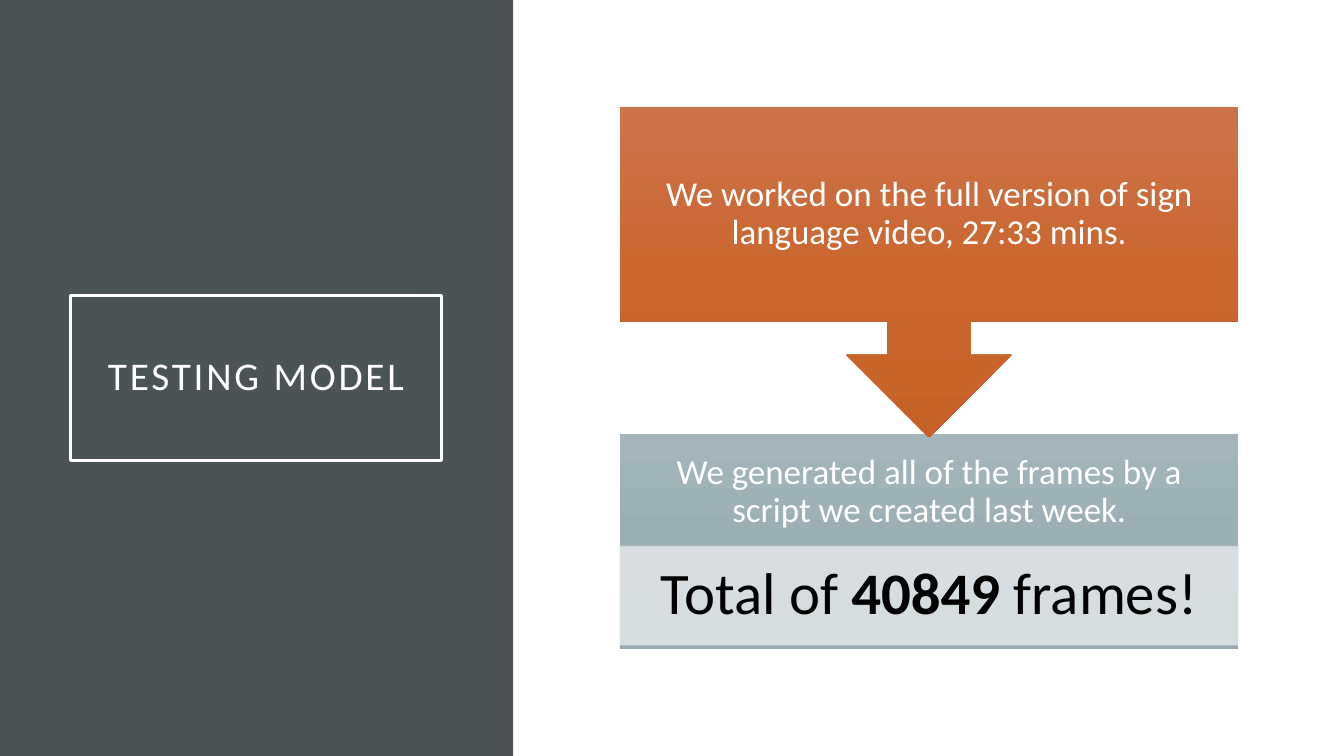
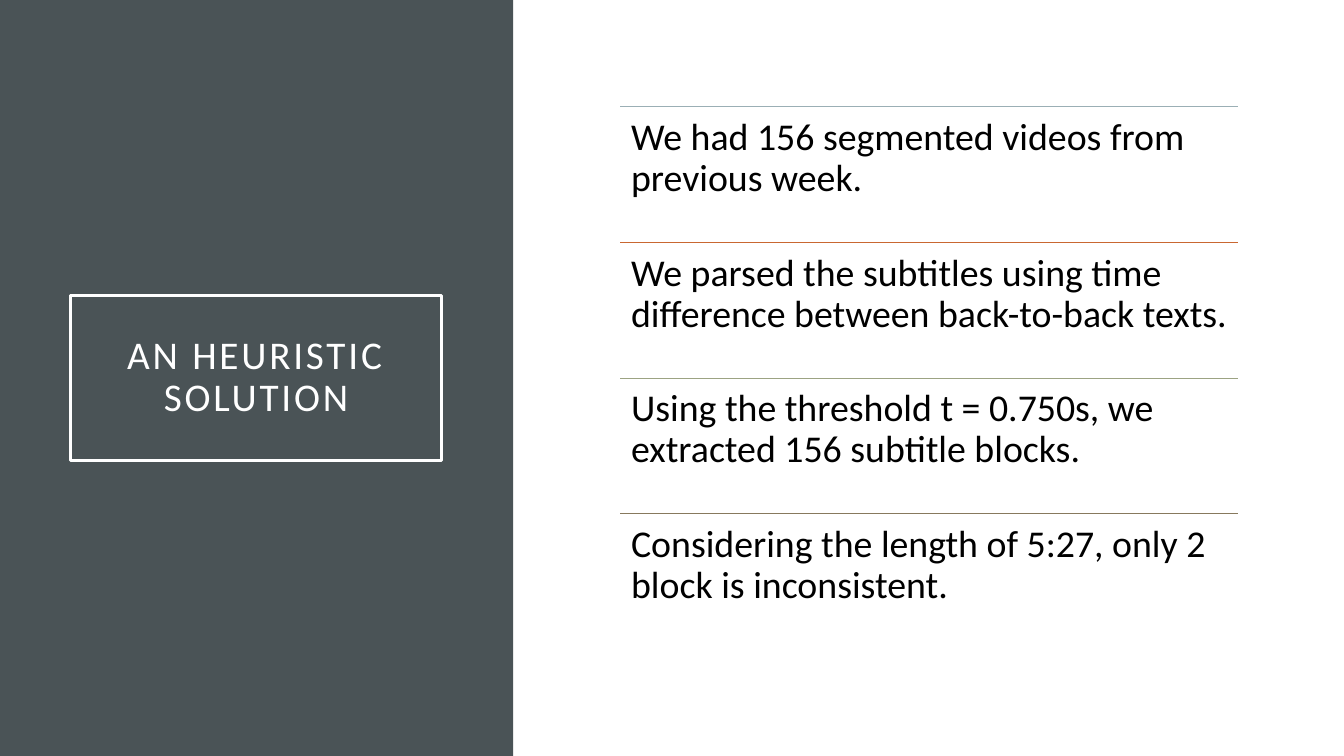
from copy import deepcopy
from dataclasses import dataclass

from lxml.etree import SubElement
from pptx import Presentation
from pptx.dml.color import RGBColor
from pptx.enum.shapes import MSO_CONNECTOR, MSO_SHAPE
from pptx.enum.text import MSO_ANCHOR, MSO_AUTO_SIZE, PP_ALIGN
from pptx.oxml.ns import qn
from pptx.util import Inches, Pt


@dataclass(frozen=True)
class Theme:
    font: str = "Calibri"
    panel: str = "4A5356"
    light: str = "FFFFFF"
    dark: str = "000000"
    result: str = "DEE3E5"
    source_stops: tuple = ("CC734B", "CB662F", "C86128")
    frames_stops: tuple = ("A3B5BB", "9BAFB5", "93A9AF")
    rules: tuple = ("9BAFB5", "C96731", "9CA383", "87795D")
    title_size: int = 28
    step_size: int = 25
    result_size: int = 42
    row_size: int = 27
    title_line: float = 2.5
    hairline: float = 0.5
    line_spacing: float = 0.9


THEME = Theme()
WIDTH, HEIGHT = 13.33, 7.5
PANEL_WIDTH = 5.09
TITLE_BOX = (0.7, 2.93, 3.68, 1.64)
LEFT, TOP, COLUMN, DEPTH = 6.15, 1.06, 6.13, 5.38
CALLOUT_HEIGHT = 3.28
FRAMES_HEIGHT = 2.13
RESULT_TOP, RESULT_HEIGHT = 5.42, 0.98
STEP_INSET = 0.19


def rgb(value):
    return RGBColor.from_string(value)


def inches(*lengths):
    return [Inches(length) for length in lengths]


def write(shape, runs, size, color, insets, align=PP_ALIGN.CENTER,
          anchor=MSO_ANCHOR.MIDDLE, tracking=0):
    frame = shape.text_frame
    frame.word_wrap = True
    frame.auto_size = MSO_AUTO_SIZE.NONE
    frame.vertical_anchor = anchor
    (frame.margin_left, frame.margin_top,
     frame.margin_right, frame.margin_bottom) = inches(*insets)
    paragraph = frame.paragraphs[0]
    paragraph.alignment = align
    paragraph.line_spacing = THEME.line_spacing
    for text, bold in runs:
        run = paragraph.add_run()
        run.text = text
        run.font.name = THEME.font
        run.font.size = Pt(size)
        run.font.bold = bold
        run.font.color.rgb = rgb(color)
        if tracking:
            run.font._element.set("spc", str(tracking * 100))


def add_block(slide, preset, box):
    block = slide.shapes.add_shape(preset, *inches(*box))
    block.shadow.inherit = False
    block.line.fill.background()
    return block


def fill_solid(block, color):
    block.fill.solid()
    block.fill.fore_color.rgb = rgb(color)


def fill_gradient(block, colors):
    block.fill.gradient()
    block.fill.gradient_angle = 270
    stop_list = block._element.spPr.find(qn("a:gradFill")).find(qn("a:gsLst"))
    stop_list.append(deepcopy(stop_list[0]))
    for index, (stop, color) in enumerate(zip(block.fill.gradient_stops, colors)):
        stop.position = index / (len(colors) - 1)
        stop.color.rgb = rgb(color)


def set_opacity(block, percent):
    for color in block._element.spPr.iter(qn("a:srgbClr")):
        SubElement(color, qn("a:alpha")).set("val", str(percent * 1000))


def add_rule(slide, y, color):
    rule = slide.shapes.add_connector(
        MSO_CONNECTOR.STRAIGHT, *inches(LEFT, y, LEFT + COLUMN, y))
    rule.line.color.rgb = rgb(color)
    rule.line.width = Pt(THEME.hairline)
    SubElement(rule._element.spPr, qn("a:effectLst"))


def add_titled_slide(deck, heading):
    slide = deck.slides.add_slide(deck.slide_layouts.get_by_name("Title Only"))
    panel = add_block(slide, MSO_SHAPE.RECTANGLE, (0, 0, PANEL_WIDTH, HEIGHT))
    fill_solid(panel, THEME.panel)
    title = slide.shapes.title
    title._element.addprevious(panel._element)
    title.left, title.top, title.width, title.height = inches(*TITLE_BOX)
    title.line.color.rgb = rgb(THEME.light)
    title.line.width = Pt(THEME.title_line)
    write(title, [(heading, False)], THEME.title_size, THEME.light, [0.2] * 4,
          tracking=2)
    return slide


def add_step(slide, preset, top, height, stops, text, bottom_inset=STEP_INSET):
    step = add_block(slide, preset, (LEFT, top, COLUMN, height))
    fill_gradient(step, stops)
    write(step, [(text, False)], THEME.step_size, THEME.light,
          [STEP_INSET] * 3 + [bottom_inset])


def add_result(slide, runs):
    result = add_block(slide, MSO_SHAPE.RECTANGLE,
                       (LEFT, RESULT_TOP, COLUMN, RESULT_HEIGHT))
    fill_solid(result, THEME.result)
    result.line.color.rgb = rgb(THEME.result)
    result.line.width = Pt(THEME.hairline)
    set_opacity(result, 90)
    write(result, runs, THEME.result_size, THEME.dark, (0.33, 0.06, 0.33, 0.06))


def add_ruled_rows(slide, rows):
    pitch = DEPTH / len(rows)
    for index, (text, color) in enumerate(zip(rows, THEME.rules)):
        y = TOP + index * pitch
        add_rule(slide, y, color)
        row = slide.shapes.add_textbox(*inches(LEFT, y, COLUMN, pitch))
        write(row, [(text, False)], THEME.row_size, THEME.dark, [0.11] * 4,
              PP_ALIGN.LEFT, MSO_ANCHOR.TOP)


def build_testing_model(deck):
    slide = add_titled_slide(deck, "TESTING MODEL")
    add_step(slide, MSO_SHAPE.RECTANGLE, TOP + DEPTH - FRAMES_HEIGHT,
             FRAMES_HEIGHT, THEME.frames_stops,
             "We generated all of the frames by a script we created last week.",
             RESULT_HEIGHT + STEP_INSET)
    add_result(slide, [("Total of ", False), ("40849", True), (" frames!", False)])
    add_step(slide, MSO_SHAPE.DOWN_ARROW_CALLOUT, TOP, CALLOUT_HEIGHT,
             THEME.source_stops,
             "We worked on the full version of sign language video, 27:33 mins.")


def build_heuristic_solution(deck):
    slide = add_titled_slide(deck, "AN HEURISTIC SOLUTION")
    add_ruled_rows(slide, [
        "We had 156 segmented videos from previous week.",
        "We parsed the subtitles using time difference between back-to-back texts.",
        "Using the threshold t = 0.750s, we extracted 156 subtitle blocks.",
        "Considering the length of 5:27, only 2 block is inconsistent.",
    ])


def main():
    deck = Presentation()
    deck.slide_width, deck.slide_height = inches(WIDTH, HEIGHT)
    build_testing_model(deck)
    build_heuristic_solution(deck)
    deck.save("out.pptx")


if __name__ == "__main__":
    main()
